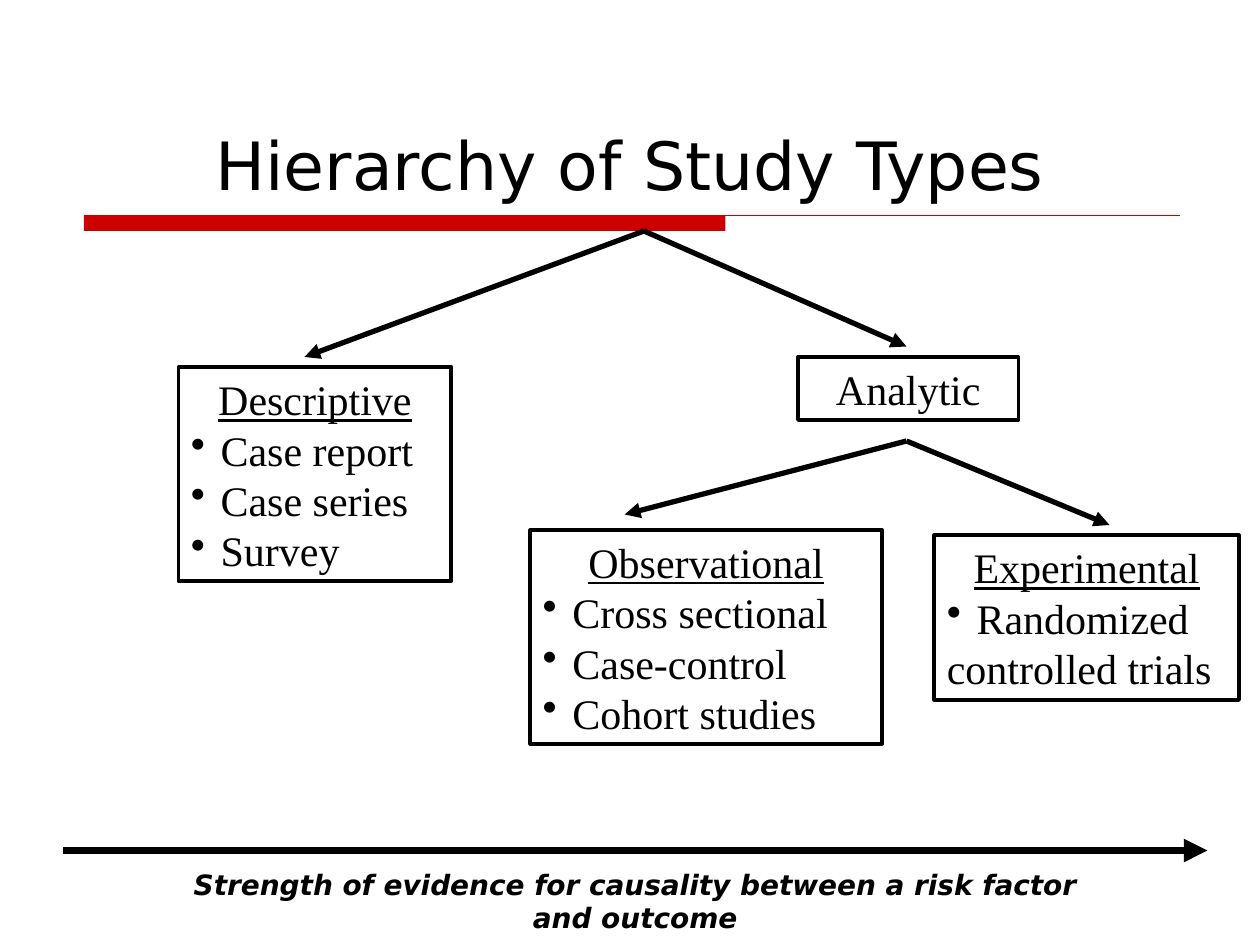
from dataclasses import dataclass
from typing import NamedTuple

from lxml.etree import SubElement
from pptx import Presentation
from pptx.dml.color import RGBColor as RGB
from pptx.enum.shapes import MSO_CONNECTOR as CONN, MSO_SHAPE as SHAPE
from pptx.enum.text import MSO_ANCHOR as ANCHOR, MSO_AUTO_SIZE as AUTO, PP_ALIGN as ALIGN
from pptx.oxml.ns import qn
from pptx.util import Pt


@dataclass(frozen=True)
class Theme:
    ink: RGB = RGB(0, 0, 0)
    accent: RGB = RGB(0xCC, 0, 0)
    sans: str = "DejaVu Sans"
    serif: str = "Times New Roman"
    title: float = 38
    body: float = 24
    caption: float = 16
    border: float = 2.25
    indent: float = 17


class Point(NamedTuple):
    x: float
    y: float


class Arrow(NamedTuple):
    start: Point
    end: Point
    width: float = 3


class StudyBox(NamedTuple):
    left: float
    top: float
    width: float
    height: float
    heading: str
    bullets: tuple[str, ...] = ()
    tail: str = ""


THEME = Theme()
ROOT, ANALYTIC = Point(368, 132), Point(518, 252)

ARROWS = [
    Arrow(ROOT, Point(174, 204)),
    Arrow(ROOT, Point(518, 198)),
    Arrow(ANALYTIC, Point(357, 294)),
    Arrow(ANALYTIC, Point(634, 300)),
    Arrow(Point(36, 486), Point(690, 486), 4.5),
]

BOXES = [
    StudyBox(102, 210, 156, 122, "Descriptive", ("Case report", "Case series", "Survey")),
    StudyBox(456, 204, 126, 36, "Analytic"),
    StudyBox(303, 303, 201, 122, "Observational",
             ("Cross sectional", "Case-control", "Cohort studies")),
    StudyBox(534, 306, 174, 94, "Experimental", ("Randomized",), "controlled trials"),
]


def style(p, font: str, size: float, align=ALIGN.LEFT) -> None:
    p.alignment = align
    for r in p.runs:
        r.font.name, r.font.size = font, Pt(size)
        r.font.color.rgb = THEME.ink


def add_bullet(p) -> None:
    pPr = p._p.get_or_add_pPr()
    pPr.set("marL", str(Pt(THEME.indent)))
    pPr.set("indent", str(-Pt(THEME.indent)))
    SubElement(pPr, qn("a:buChar"), char="•")


def add_line(slide, start: Point, end: Point, color: RGB, width: float):
    line = slide.shapes.add_connector(CONN.STRAIGHT, *map(Pt, (*start, *end)))
    line.line.color.rgb, line.line.width = color, Pt(width)
    SubElement(line._element.spPr, qn("a:effectLst"))
    return line


def add_arrow(slide, arrow: Arrow) -> None:
    line = add_line(slide, arrow.start, arrow.end, THEME.ink, arrow.width)
    SubElement(line.line._get_or_add_ln(), qn("a:tailEnd"), type="triangle")


def add_box(slide, box: StudyBox) -> None:
    sp = slide.shapes.add_shape(SHAPE.RECTANGLE, *map(Pt, box[:4]))
    sp.shadow.inherit = False
    sp.fill.background()
    sp.line.color.rgb, sp.line.width = THEME.ink, Pt(THEME.border)
    tf = sp.text_frame
    tf.word_wrap, tf.vertical_anchor = True, ANCHOR.TOP
    tail = (box.tail,) if box.tail else ()
    tf.text = "\n".join((box.heading, *box.bullets, *tail))
    for i, p in enumerate(tf.paragraphs):
        if 0 < i <= len(box.bullets):
            add_bullet(p)
        style(p, THEME.serif, THEME.body, ALIGN.LEFT if i else ALIGN.CENTER)
    if box.bullets:
        tf.paragraphs[0].runs[0].font.underline = True


def add_title(slide, text: str) -> None:
    title = slide.shapes.title
    title.left, title.top, title.width, title.height = map(Pt, (45, 24, 630, 96))
    tf = title.text_frame
    tf.text = text
    tf.auto_size, tf.vertical_anchor = AUTO.NONE, ANCHOR.BOTTOM
    style(tf.paragraphs[0], THEME.sans, THEME.title, ALIGN.CENTER)


def add_title_rule(slide) -> None:
    bar = slide.shapes.add_shape(SHAPE.RECTANGLE, *map(Pt, (48, 123, 366.5, 9)))
    bar.shadow.inherit = False
    bar.fill.solid()
    bar.fill.fore_color.rgb = THEME.accent
    bar.line.fill.background()
    add_line(slide, Point(48, 123), Point(674.5, 123), THEME.accent, 0.75)


def add_caption(slide, text: str) -> None:
    tf = slide.shapes.add_textbox(*map(Pt, (95, 492, 536, 46))).text_frame
    tf.word_wrap = True
    tf.text = text
    p = tf.paragraphs[0]
    style(p, THEME.sans, THEME.caption, ALIGN.CENTER)
    p.runs[0].font.bold = p.runs[0].font.italic = True


def main() -> None:
    prs = Presentation()
    prs.slide_width, prs.slide_height = Pt(720), Pt(540)
    s = prs.slides.add_slide(prs.slide_layouts[5])

    # Title and its rule
    add_title_rule(s)
    add_title(s, "Hierarchy of Study Types")

    # Tree of study types and the evidence axis
    for arrow in ARROWS:
        add_arrow(s, arrow)
    for box in BOXES:
        add_box(s, box)
    add_caption(s, "Strength of evidence for causality between a risk factor and outcome")

    prs.save("out.pptx")


if __name__ == "__main__":
    main()
